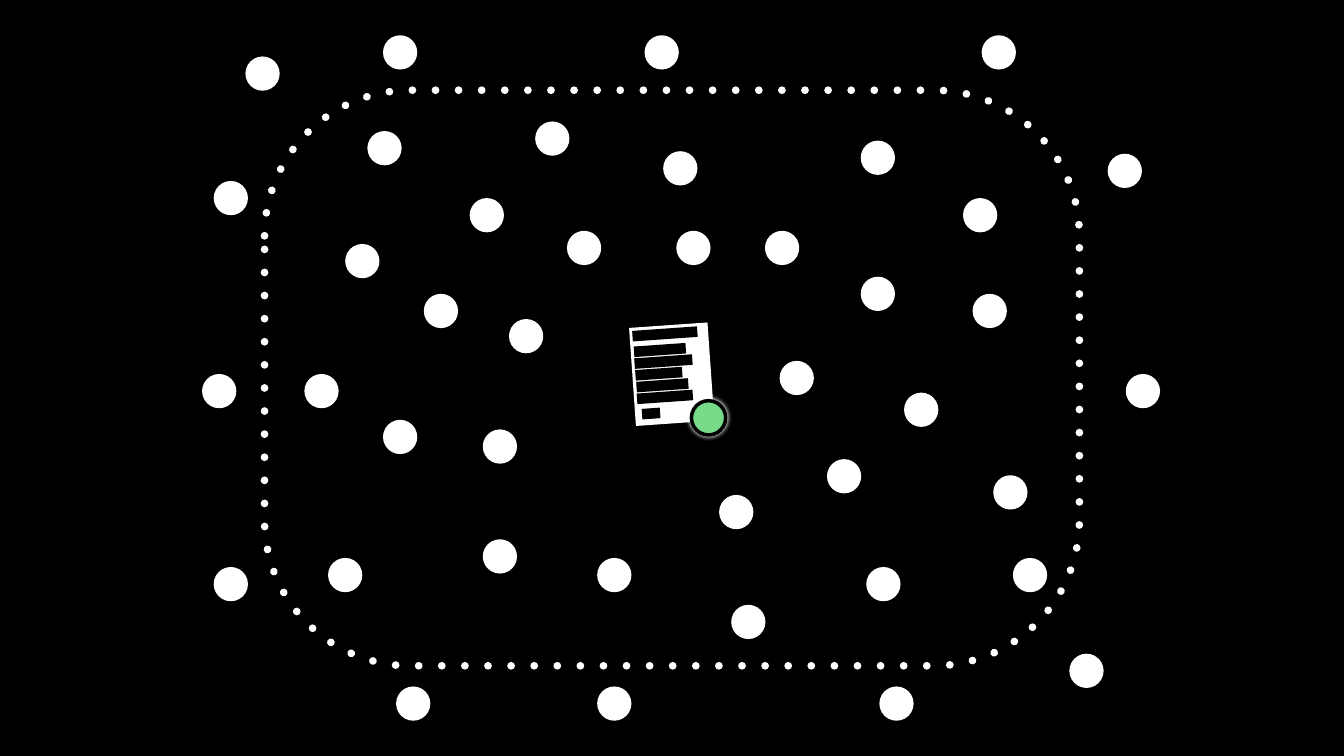
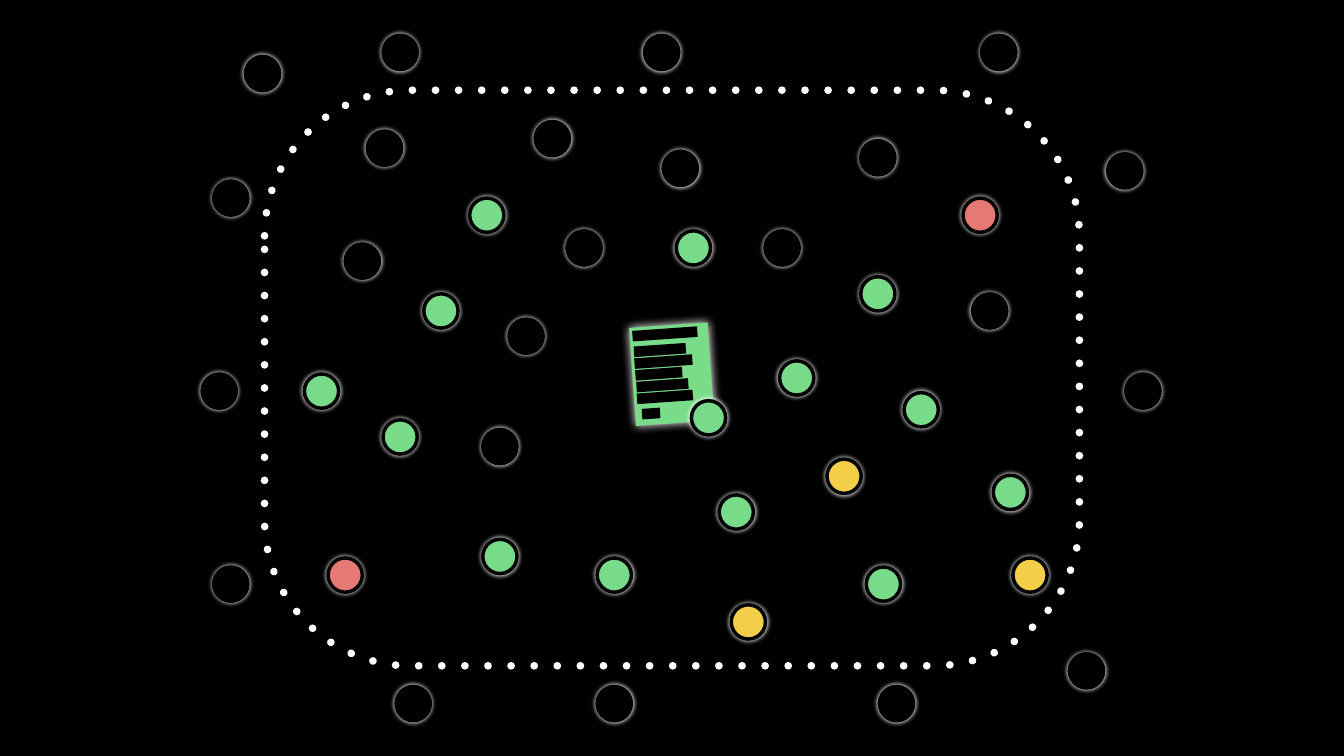
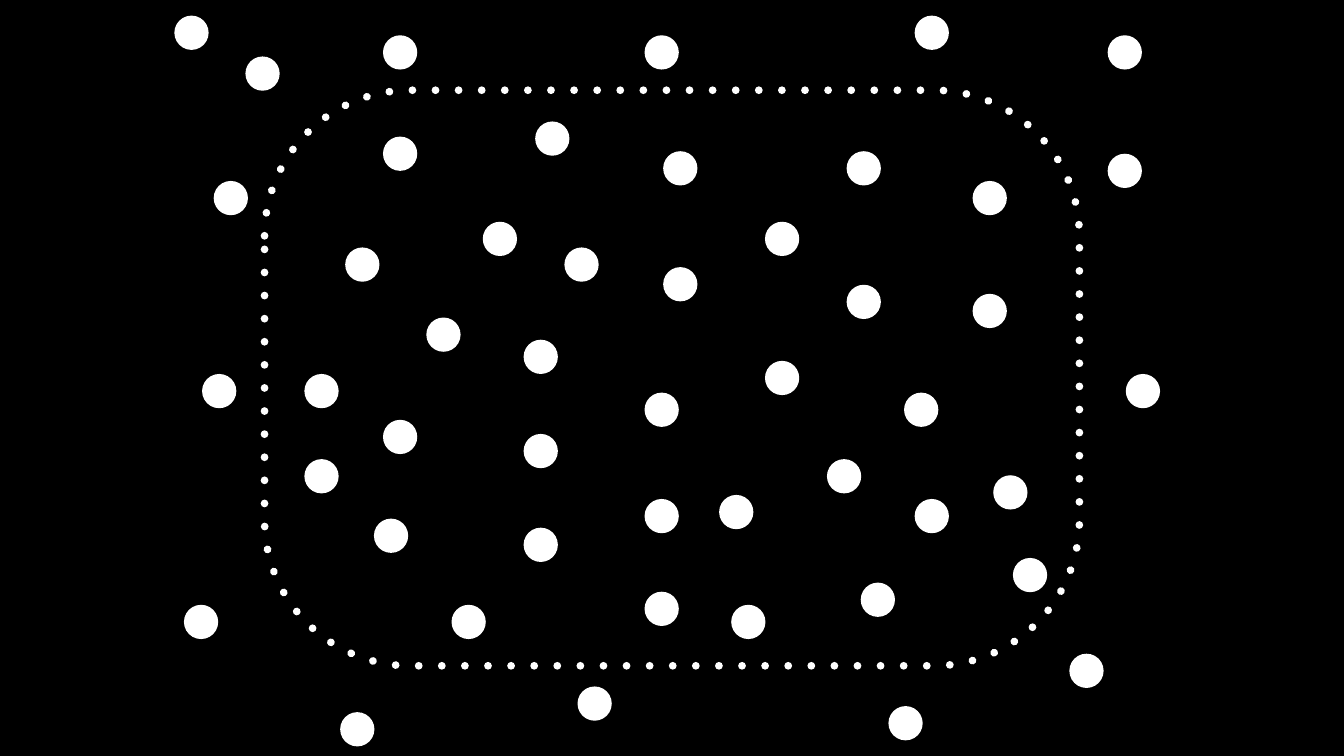
from lxml import etree
from pptx import Presentation
from pptx import util as u
from pptx.dml import color
from pptx.enum import shapes
from pptx.oxml import ns

BLACK, WHITE = "000000", "FFFFFF"
STATUS_COLOURS = {"G": "78DB89", "L": "78DC88", "Y": "F3CE49", "R": "E77975", "-": BLACK}

SLIDE_SIZE = (26.67, 15)
FIELD = (0, 0)
BOUNDARY = (5.25, 1.79, 16.17, 11.42)
DOCUMENT = (12.55, 6.45, 1.56, 1.95)
DOT = 0.68
TILT = 356

# Network dots: left, top, status once revealed
NETWORK = [
    (7.6, 0.7, "-"), (7.29, 2.6, "-"), (9.32, 3.93, "G"), (11.25, 4.58, "-"),
    (10.62, 2.41, "-"), (8.41, 5.83, "G"), (6.85, 4.84, "-"), (7.6, 8.33, "L"),
    (9.58, 8.52, "-"), (13.42, 4.58, "G"), (15.18, 4.58, "-"), (17.08, 2.79, "-"),
    (19.11, 3.93, "R"), (17.08, 5.49, "L"), (19.3, 5.83, "-"), (15.47, 7.16, "G"),
    (17.94, 7.79, "G"), (19.71, 9.43, "G"), (16.41, 9.11, "Y"), (14.27, 9.82, "G"),
    (11.85, 11.07, "G"), (9.58, 10.7, "G"), (6.51, 11.07, "R"), (17.19, 11.25, "G"),
    (20.1, 11.07, "Y"), (21.22, 12.97, "-"), (14.51, 12, "Y"), (17.45, 13.62, "-"),
    (11.85, 13.62, "-"), (7.86, 13.62, "-"), (4.24, 11.25, "-"), (4.01, 7.42, "-"),
    (6.04, 7.42, "G"), (10.1, 6.33, "-"), (4.24, 3.59, "-"), (4.87, 1.12, "-"),
    (12.79, 0.7, "-"), (19.48, 0.7, "-"), (21.98, 3.05, "-"), (22.34, 7.42, "-"),
    (13.16, 3, "-"),
]

# Rearranged dots: left, top
REARRANGED = [
    (7.6, 0.7), (7.6, 2.71), (9.58, 4.4), (11.2, 4.91), (10.62, 2.41), (8.46, 6.3),
    (6.85, 4.91), (7.6, 8.33), (10.39, 8.61), (13.16, 5.3), (15.18, 4.4), (16.8, 3),
    (21.98, 0.7), (16.8, 5.65), (19.3, 5.83), (15.18, 7.16), (17.94, 7.79),
    (19.71, 9.43), (16.41, 9.11), (14.27, 9.82), (12.79, 9.9), (10.39, 10.47),
    (7.42, 10.29), (18.15, 9.9), (20.1, 11.07), (21.22, 12.97), (14.51, 12),
    (17.08, 11.56), (12.79, 11.74), (8.96, 12), (6.04, 9.11), (4.01, 7.42),
    (6.04, 7.42), (10.39, 6.74), (4.24, 3.59), (4.87, 1.12), (12.79, 0.7),
    (19.3, 3.59), (21.98, 3.05), (22.34, 7.42), (13.16, 3), (12.79, 7.79), (3.65, 12),
    (6.75, 14.13), (11.46, 13.62), (17.63, 14.01), (18.15, 0.31), (3.46, 0.31),
]

# Text bars of the document: left and top inside the page, width
BARS = [(0, 0.07, 1.29), (0.03, 0.39, 1.03), (0.04, 0.62, 1.15), (0.06, 0.86, 0.93),
        (0.08, 1.09, 1.03), (0.09, 1.32, 1.11), (0.19, 1.65, 0.36)]
BAR_HEIGHT = 0.21
BADGE_OFFSET = (1.17, 1.5)


def rgb(hex_value):
    return color.RGBColor.from_string(hex_value)


def add_child(parent, tag, **attributes):
    return etree.SubElement(parent, ns.qn(tag), attributes)


def add_glow(shape, blur):
    """A centred white shadow that reads as a halo."""
    effects = shape._element.spPr.find(ns.qn("a:effectLst"))
    shadow = add_child(effects, "a:outerShdw", blurRad=str(u.Pt(blur)), dist="0",
                       dir="5400000", rotWithShape="0")
    add_child(shadow, "a:srgbClr", val=WHITE)


def draw(container, preset, box, fill=None, line=None, glow=None, **settings):
    shape = container.add_shape(preset, *(u.Inches(length) for length in box))
    shape.shadow.inherit = False
    if fill:
        shape.fill.solid()
        shape.fill.fore_color.rgb = rgb(fill)
    else:
        shape.fill.background()
    if line:
        line_colour, width = line
        shape.line.color.rgb = rgb(line_colour)
        shape.line.width = u.Pt(width)
    else:
        shape.line.fill.background()
    if glow:
        add_glow(shape, glow)
    for name, value in settings.items():
        setattr(shape, name, value)
    return shape


PLAIN_DOT = {"fill": WHITE}
HALO_DOT = {"line": (BLACK, 5), "glow": 7}


def draw_dot(slide, left, top, **look):
    draw(slide.shapes, shapes.MSO_SHAPE.OVAL, (left, top, DOT, DOT), **look)


def draw_boundary(slide, box):
    """Rounded outline made of round dots."""
    boundary = draw(slide.shapes, shapes.MSO_SHAPE.ROUNDED_RECTANGLE, box, line=(WHITE, 11))
    boundary.adjustments[0] = 0.253
    outline = boundary.line._get_or_add_ln()
    outline.set("cap", "rnd")
    dashes = add_child(outline, "a:custDash")
    add_child(dashes, "a:ds", d="100000", sp="200000")


def draw_dots(slide, origin, dots):
    """Dots as (left, top, look), measured from the origin."""
    for left, top, look in dots:
        draw_dot(slide, origin[0] + left, origin[1] + top, **look)


def draw_document(slide, box, grouped, **page_look):
    """Tilted page with text bars and a green badge at its corner."""
    left, top = box[:2]
    container = slide.shapes.add_group_shape().shapes if grouped else slide.shapes
    rectangle = shapes.MSO_SHAPE.RECTANGLE
    draw(container, rectangle, box, rotation=TILT, **page_look)
    for bar_left, bar_top, width in BARS:
        bar_box = (left + bar_left, top + bar_top, width, BAR_HEIGHT)
        draw(container, rectangle, bar_box, fill=BLACK, rotation=TILT)
    draw_dot(slide, left + BADGE_OFFSET[0], top + BADGE_OFFSET[1],
             fill=STATUS_COLOURS["G"], **HALO_DOT)


def add_network_slide(presentation, dots):
    slide = presentation.slides.add_slide(presentation.slide_layouts[6])
    slide.background.fill.solid()
    slide.background.fill.fore_color.rgb = rgb(BLACK)
    draw_boundary(slide, BOUNDARY)
    draw_dots(slide, FIELD, dots)
    return slide


def main():
    presentation = Presentation()
    presentation.slide_width, presentation.slide_height = map(u.Inches, SLIDE_SIZE)

    # Document among unknown dots
    slide = add_network_slide(presentation, [(x, y, PLAIN_DOT) for x, y, _ in NETWORK])
    draw_document(slide, DOCUMENT, grouped=True, fill=WHITE)

    # Dots coloured by status
    revealed = [(x, y, {"fill": STATUS_COLOURS[status], **HALO_DOT})
                for x, y, status in NETWORK]
    slide = add_network_slide(presentation, revealed)
    draw_document(slide, DOCUMENT, grouped=False, fill=STATUS_COLOURS["L"], glow=14)

    # Dots rearranged, no document
    add_network_slide(presentation, [(x, y, PLAIN_DOT) for x, y in REARRANGED])

    presentation.save("out.pptx")


if __name__ == "__main__":
    main()
